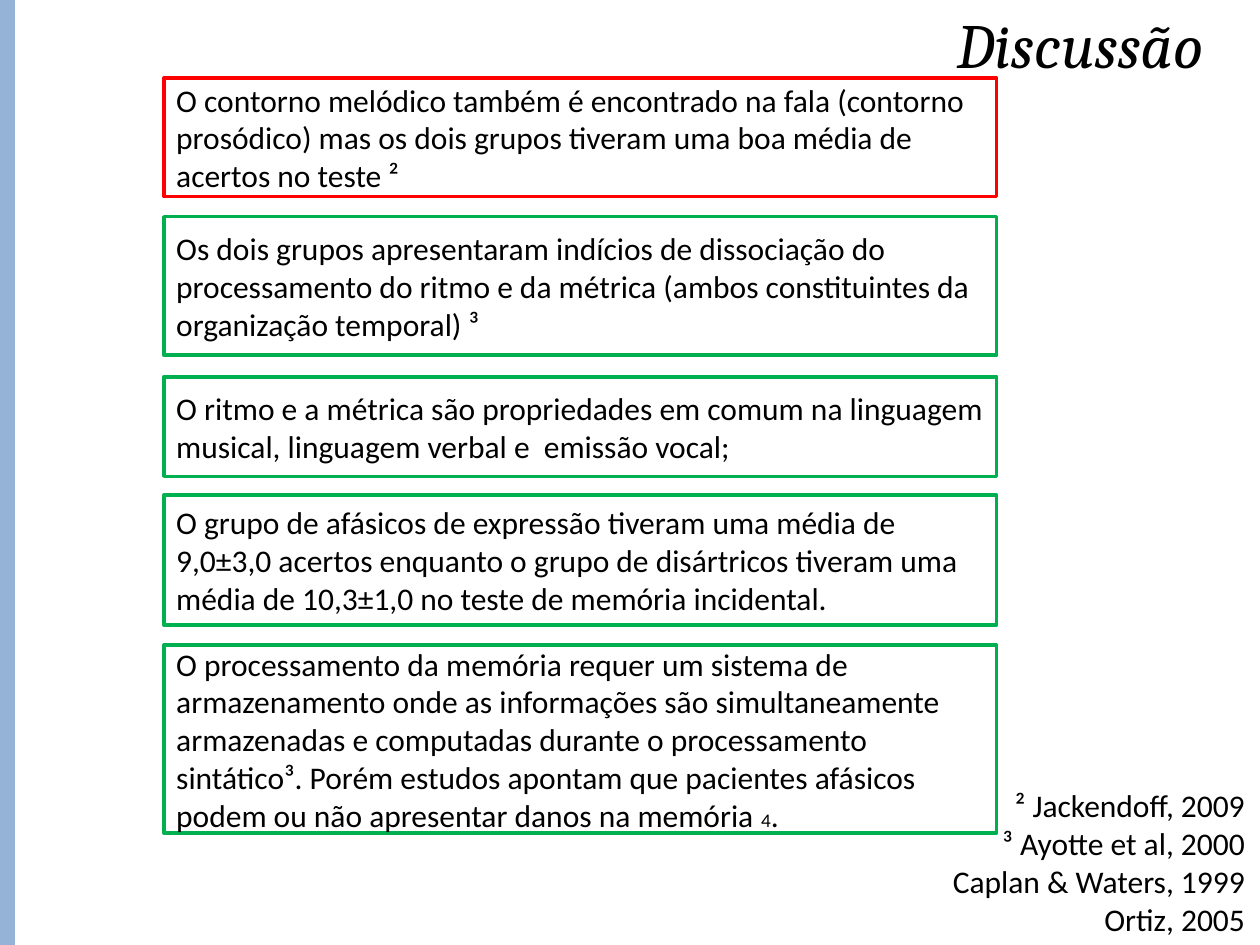
from pptx import Presentation
from pptx.dml.color import RGBColor
from pptx.enum.shapes import MSO_SHAPE
from pptx.enum.text import MSO_ANCHOR, MSO_AUTO_SIZE, PP_ALIGN
from pptx.util import Inches, Pt


def rgb(value):
    return RGBColor.from_string(value)


def style(tf, anchor, align, size=18, name="Calibri", italic=False):
    tf.word_wrap = True
    tf.auto_size = MSO_AUTO_SIZE.NONE
    tf.vertical_anchor = anchor
    for p in tf.paragraphs:
        p.alignment = align
        for r in p.runs:
            r.font.size = Pt(size)
            r.font.name = name
            r.font.italic = italic
            r.font.color.rgb = rgb("000000")


RED, GREEN = "FF0000", "00B050"
boxes = [
    (0.62, 0.94, RED, ["O contorno melódico também é encontrado na fala (contorno "
     "prosódico) mas os dois grupos tiveram uma boa média de acertos no teste ²"]),
    (1.72, 1.1, GREEN, ["Os dois grupos apresentaram indícios de dissociação do "
     "processamento do ritmo e da métrica (ambos constituintes da "
     "organização temporal) ³"]),
    (2.99, 0.79, GREEN, ["O ritmo e a métrica são propriedades em comum na linguagem "
     "musical, linguagem verbal e  emissão vocal;"]),
    (3.93, 1.03, GREEN, ["O grupo de afásicos de expressão tiveram uma média de "
     "9,0±3,0 acertos enquanto o grupo de disártricos tiveram uma "
     "média de 10,3±1,0 no teste de memória incidental."]),
    (5.12, 1.49, GREEN, ["O processamento da memória requer um sistema de "
     "armazenamento onde as informações são simultaneamente "
     "armazenadas e computadas durante o processamento "
     "sintático³. Porém estudos apontam que pacientes afásicos "
     "podem ou não apresentar danos na memória ", "4", "."]),
]
references = ["² Jackendoff, 2009", "³ Ayotte et al, 2000",
              "Caplan & Waters, 1999", "Ortiz, 2005"]

prs = Presentation()
prs.slide_width, prs.slide_height = Inches(10), Inches(7.5)
s = prs.slides.add_slide(prs.slide_layouts[5])

bar = s.shapes.add_shape(MSO_SHAPE.RECTANGLE, Inches(-0.04), 0, Inches(0.16), Inches(7.5))
bar.shadow.inherit = False
bar.fill.solid()
bar.fill.fore_color.rgb = rgb("95B3D7")
bar.line.fill.background()

title = s.shapes.title
title.left, title.top = Inches(1.93), Inches(-0.01)
title.width, title.height = Inches(7.72), Inches(0.7)
title.text_frame.text = "Discussão"
style(title.text_frame, MSO_ANCHOR.TOP, PP_ALIGN.RIGHT, 36, "Cambria", True)

for top, height, color, parts in boxes:
    sp = s.shapes.add_shape(MSO_SHAPE.RECTANGLE, Inches(1.3), Inches(top),
                            Inches(6.61), Inches(height))
    sp.shadow.inherit = False
    sp.fill.solid()
    sp.fill.fore_color.rgb = rgb("FFFFFF")
    sp.line.color.rgb = rgb(color)
    sp.line.width = Pt(2)
    p = sp.text_frame.paragraphs[0]
    for part in parts:
        p.add_run().text = part
    style(sp.text_frame, MSO_ANCHOR.MIDDLE, PP_ALIGN.LEFT)
    for r in p.runs:
        if r.text == "4":
            r.font.size = Pt(11)

tb = s.shapes.add_textbox(Inches(7.28), Inches(6.19), Inches(2.7), Inches(1.3))
tb.text_frame.text = "\n".join(references)
style(tb.text_frame, MSO_ANCHOR.TOP, PP_ALIGN.RIGHT)

prs.save("out.pptx")
